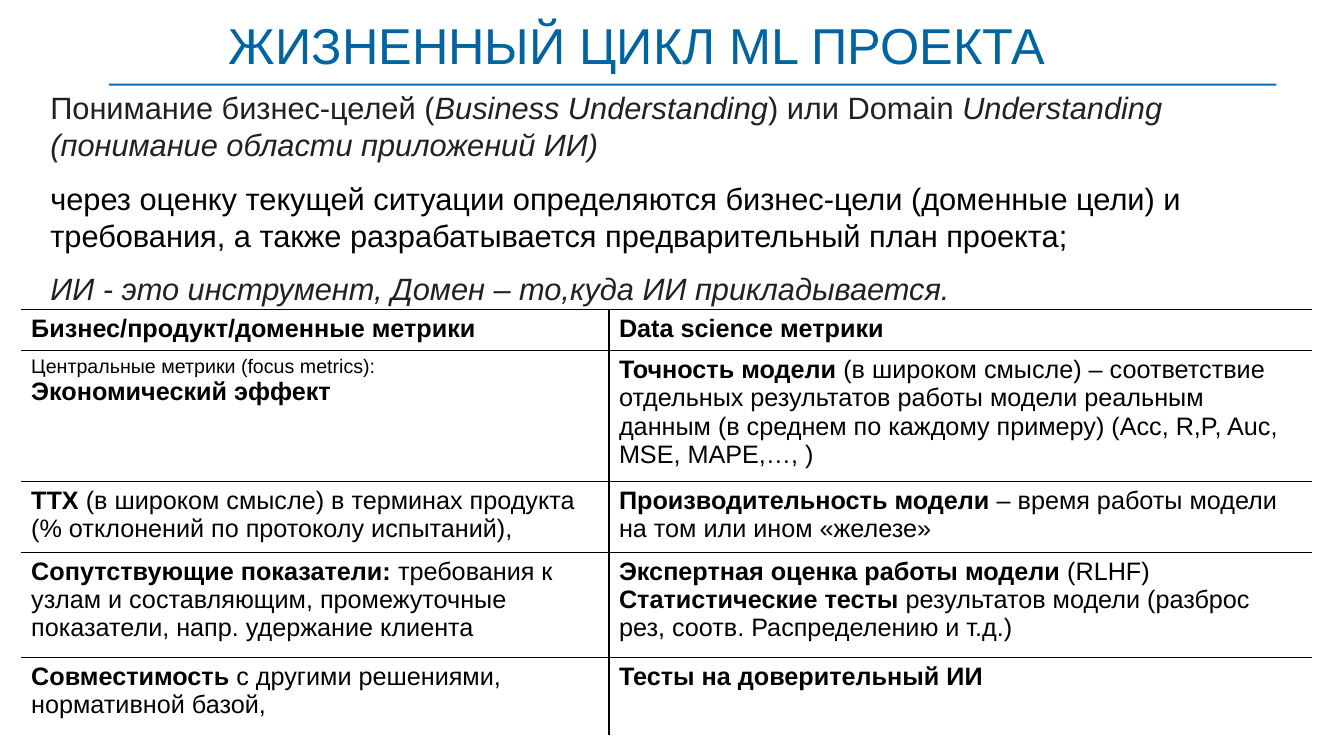
from dataclasses import dataclass

from lxml.etree import SubElement
from pptx import Presentation
from pptx.dml.color import RGBColor
from pptx.enum.shapes import MSO_SHAPE as Shape
from pptx.oxml.ns import qn
from pptx.util import Inches, Pt


@dataclass(frozen=True)
class Theme:
    font: str = "Arial"
    heading: str = "0064A1"
    rule: str = "0070C0"
    soft: str = "202122"
    ink: str = "000000"
    title_size: int = 36
    body_size: int = 22
    cell_size: int = 18
    small_size: int = 14
    border: int = 1


THEME = Theme()
BOLD = {"bold": True}
ITALIC = {"italic": True}
SMALL = {"size": Pt(THEME.small_size)}
INK = {"color": THEME.ink}


class SlideBuilder:
    def __init__(self, slide, theme):
        self.slide = slide
        self.theme = theme

    def fill_text(self, frame, paragraphs, size, color, **spacing):
        """Fill a frame with paragraphs, each a list of (text, format) runs."""
        for index, runs in enumerate(paragraphs):
            paragraph = frame.paragraphs[0] if index == 0 else frame.add_paragraph()
            for name, value in spacing.items():
                if index or name != "space_before":
                    setattr(paragraph, name, value)
            for text, changes in runs:
                run = paragraph.add_run()
                run.text = text
                values = {"name": self.theme.font, "size": Pt(size),
                          "bold": False, "italic": False, "color": color} | changes
                run.font.color.rgb = RGBColor.from_string(values.pop("color"))
                for name, value in values.items():
                    setattr(run.font, name, value)

    def text(self, box, paragraphs, size, color, margins, **spacing):
        frame = self.slide.shapes.add_textbox(*map(Inches, box)).text_frame
        frame.word_wrap = True
        for side, margin in zip(("left", "top", "right", "bottom"), margins):
            setattr(frame, f"margin_{side}", Inches(margin))
        self.fill_text(frame, paragraphs, size, color, **spacing)

    def bar(self, box, color):
        bar = self.slide.shapes.add_shape(Shape.RECTANGLE, *map(Inches, box))
        bar.shadow.inherit = False
        bar.fill.solid()
        bar.fill.fore_color.rgb = RGBColor.from_string(color)
        bar.line.fill.background()

    def border(self, cell, drawn_sides):
        properties = cell._tc.get_or_add_tcPr()
        for side in "LRTB":
            line = SubElement(properties, qn(f"a:ln{side}"), w=str(Pt(self.theme.border)))
            if side in drawn_sides:
                fill = SubElement(line, qn("a:solidFill"))
                SubElement(fill, qn("a:srgbClr"), val=self.theme.ink)
            else:
                SubElement(line, qn("a:noFill"))

    def table(self, left, top, widths, heights, rows):
        table = self.slide.shapes.add_table(
            len(rows), len(widths), Inches(left), Inches(top),
            Inches(sum(widths)), Inches(sum(heights))).table
        table.first_row = table.horz_banding = False
        for column, width in zip(table.columns, widths):
            column.width = Inches(width)
        for row, height in zip(table.rows, heights):
            row.height = Inches(height)
        for r, row in enumerate(rows):
            for c, paragraphs in enumerate(row):
                cell = table.cell(r, c)
                # Inner grid lines plus the top edge; the other outer sides stay open
                sides = "T" + ("L" if c else "") + ("R" if c < len(row) - 1 else "")
                self.border(cell, sides + ("B" if r < len(rows) - 1 else ""))
                cell.fill.background()
                self.fill_text(cell.text_frame, paragraphs,
                               self.theme.cell_size, self.theme.ink)


INTRO = [
    [("Понимание бизнес-целей (", {}), ("Business Understanding", ITALIC),
     (") или Domain ", {}),
     ("Understanding (понимание области приложений ИИ)", ITALIC)],
    [("через оценку текущей ситуации определяются бизнес-цели (доменные цели) и "
      "требования, а также разрабатывается предварительный план проекта;", INK)],
    [("ИИ - это инструмент, Домен – то,куда ИИ прикладывается.", ITALIC)],
]

METRICS = [
    [[[("Бизнес/продукт/доменные метрики", BOLD)]],
     [[("Data science метрики", BOLD)]]],
    [[[("Центральные метрики (focus metrics):", SMALL)],
      [("Экономический эффект", BOLD)]],
     [[("Точность модели ", BOLD),
       ("(в широком смысле) – соответствие отдельных результатов работы модели "
        "реальным данным (в среднем по каждому примеру) "
        "(Acc, R,P, Auc, MSE, MAPE,…, )", {})]]],
    [[[("ТТХ", BOLD),
       (" (в широком смысле) в терминах продукта "
        "(% отклонений по протоколу испытаний),", {})]],
     [[("Производительность модели ", BOLD),
       ("– время работы модели на том или ином «железе»", {})]]],
    [[[("Сопутствующие показатели: ", BOLD),
       ("требования к узлам и составляющим, промежуточные показатели, "
        "напр. удержание клиента", {})]],
     [[("Экспертная оценка работы модели ", BOLD), ("(RLHF)", {})],
      [("Статистические тесты", BOLD),
       (" результатов модели (разброс рез, соотв. Распределению и т.д.)", {})]]],
    [[[("Совместимость ", BOLD), ("с другими решениями, нормативной базой,", {})]],
     [[("Тесты на доверительный ИИ", BOLD)]]],
]


def main():
    deck = Presentation()
    deck.slide_width, deck.slide_height = Inches(13.33), Inches(7.5)
    builder = SlideBuilder(deck.slides.add_slide(deck.slide_layouts[6]), THEME)

    # Title and the rule beneath it
    builder.text((2.27, 0.24, 9.58, 0.51), [[("ЖИЗНЕННЫЙ ЦИКЛ ML ПРОЕКТА", {})]],
                 THEME.title_size, THEME.heading, (0, 0, 0, 0), line_spacing=0.84)
    builder.bar((1.08, 0.83, 11.58, 0.02), THEME.rule)

    # Introduction
    builder.text((0.11, 0.83, 12.77, 2.83), INTRO, THEME.body_size, THEME.soft,
                 (0.39, 0.05, 0.1, 0.05), space_before=Pt(6), space_after=Pt(6))

    # Metrics table
    builder.table(0.21, 3.07, (5.83, 6.97), (0.41, 1.3, 0.69, 1.04, 0.77), METRICS)

    deck.save("out.pptx")


if __name__ == "__main__":
    main()
